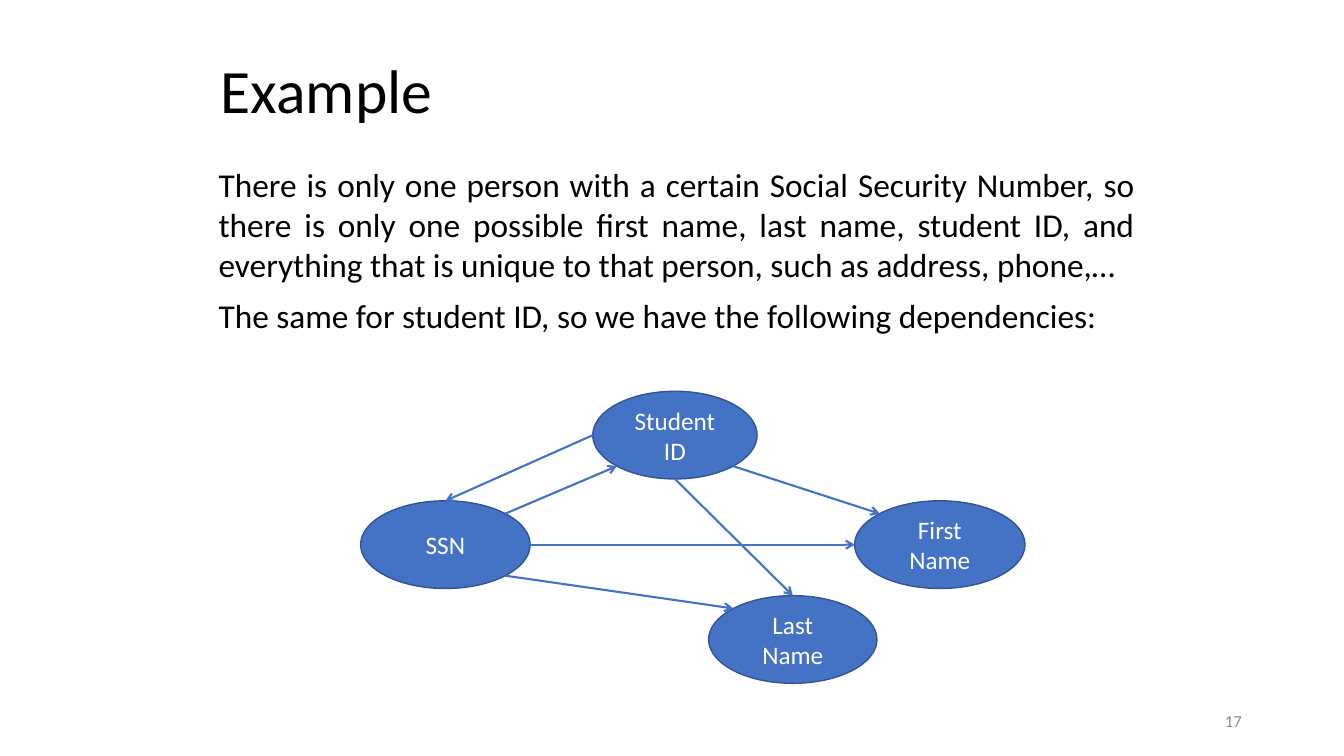
import math
from lxml import etree
from pptx import Presentation
from pptx import util as u
from pptx.dml.color import RGBColor
from pptx.enum import shapes, text
from pptx.oxml.ns import qn

Cm, Pt = u.Cm, u.Pt
BODY = [
    "There is only one person with a certain Social Security Number, so there is only one possible "
    "first name, last name, student ID, and everything that is unique to that person, such as "
    "address, phone,…",
    "The same for student ID, so we have the following dependencies:",
]
NODE_HEIGHT = 2.21
NODES = {
    "SSN": (0, 2.76, 4.27),
    "First Name": (12.45, 2.76, 4.29),
    "Student ID": (5.85, 0, 4.14),
    "Last Name": (8.77, 5.15, 4.24),
}
ANGLES = {"right": 0, "bottom right": 45, "bottom": 90, "left": 180,
          "top left": 225, "top": 270, "top right": 315, "bottom left": 135}
DEPENDENCIES = [
    ("SSN", "right", "First Name", "left"),
    ("SSN", "top right", "Student ID", "bottom left"),
    ("SSN", "bottom right", "Last Name", "top left"),
    ("Student ID", "left", "SSN", "top"),
    ("Student ID", "bottom right", "First Name", "top left"),
    ("Student ID", "bottom", "Last Name", "top"),
]


def color(value):
    return RGBColor.from_string(value)


def place(sp, box):
    sp.left, sp.top, sp.width, sp.height = (Cm(v) for v in box)


def format_text(tf, size, fill, align, anchor=text.MSO_ANCHOR.MIDDLE):
    tf.word_wrap = True
    tf.auto_size = text.MSO_AUTO_SIZE.NONE
    tf.vertical_anchor = anchor
    for p in tf.paragraphs:
        p.alignment = align
        for r in p.runs:
            r.font.name = "Calibri"
            r.font.size = Pt(size)
            r.font.color.rgb = color(fill)


def add_title(s, box):
    sp = s.shapes.title
    place(sp, box)
    sp.text_frame.text = "Example"
    sp.text_frame.paragraphs[0].line_spacing = 0.9
    format_text(sp.text_frame, 44, "000000", text.PP_ALIGN.LEFT)


def add_body(s, box):
    tf = s.shapes.add_textbox(*(Cm(v) for v in box)).text_frame
    tf.text = "\n".join(BODY)
    for p in tf.paragraphs[1:]:
        p.space_before = Pt(8)
    format_text(tf, 23.8, "000000", text.PP_ALIGN.JUSTIFY, text.MSO_ANCHOR.TOP)


def add_number(s, box):
    tf = s.shapes.add_textbox(*(Cm(v) for v in box)).text_frame
    tf.text = "17"
    format_text(tf, 12, "8C8C8C", text.PP_ALIGN.RIGHT)


def add_node(group, label, x, y, width):
    sp = group.shapes.add_shape(shapes.MSO_SHAPE.OVAL, Cm(x), Cm(y), Cm(width), Cm(NODE_HEIGHT))
    sp.shadow.inherit = False
    sp.fill.solid()
    sp.fill.fore_color.rgb = color("4472C4")
    sp.line.color.rgb = color("325491")
    sp.line.width = Pt(1)
    sp.text_frame.text = label
    format_text(sp.text_frame, 18, "FFFFFF", text.PP_ALIGN.CENTER)
    return sp


def edge_point(sp, side):
    angle = math.radians(ANGLES[side])
    return (round(sp.left + sp.width / 2 * (1 + math.cos(angle))),
            round(sp.top + sp.height / 2 * (1 + math.sin(angle))))


def add_arrow(group, start, end):
    line = group.shapes.add_connector(shapes.MSO_CONNECTOR.STRAIGHT, *start, *end)
    line.line.color.rgb = color("4472C4")
    line.line.width = Pt(1.5)
    etree.SubElement(line.line._get_or_add_ln(), qn("a:tailEnd"), type="arrow")
    etree.SubElement(line._element.spPr, qn("a:effectLst"))


def add_diagram(s, left, top):
    group = s.shapes.add_group_shape()
    nodes = {label: add_node(group, label, left + x, top + y, width)
             for label, (x, y, width) in NODES.items()}
    for source, source_side, target, target_side in DEPENDENCIES:
        add_arrow(group, edge_point(nodes[source], source_side),
                  edge_point(nodes[target], target_side))


def main():
    prs = Presentation()
    prs.slide_width, prs.slide_height = Cm(33.87), Cm(19.05)
    s = prs.slides.add_slide(prs.slide_layouts[5])
    add_title(s, (5.31, 1.02, 22.45, 2.67))
    add_body(s, (5.26, 4.01, 23.57, 6.15))
    add_number(s, (23.93, 17.65, 7.62, 1.02))
    add_diagram(s, 9.09, 9.86)
    prs.save("out.pptx")


if __name__ == "__main__":
    main()
